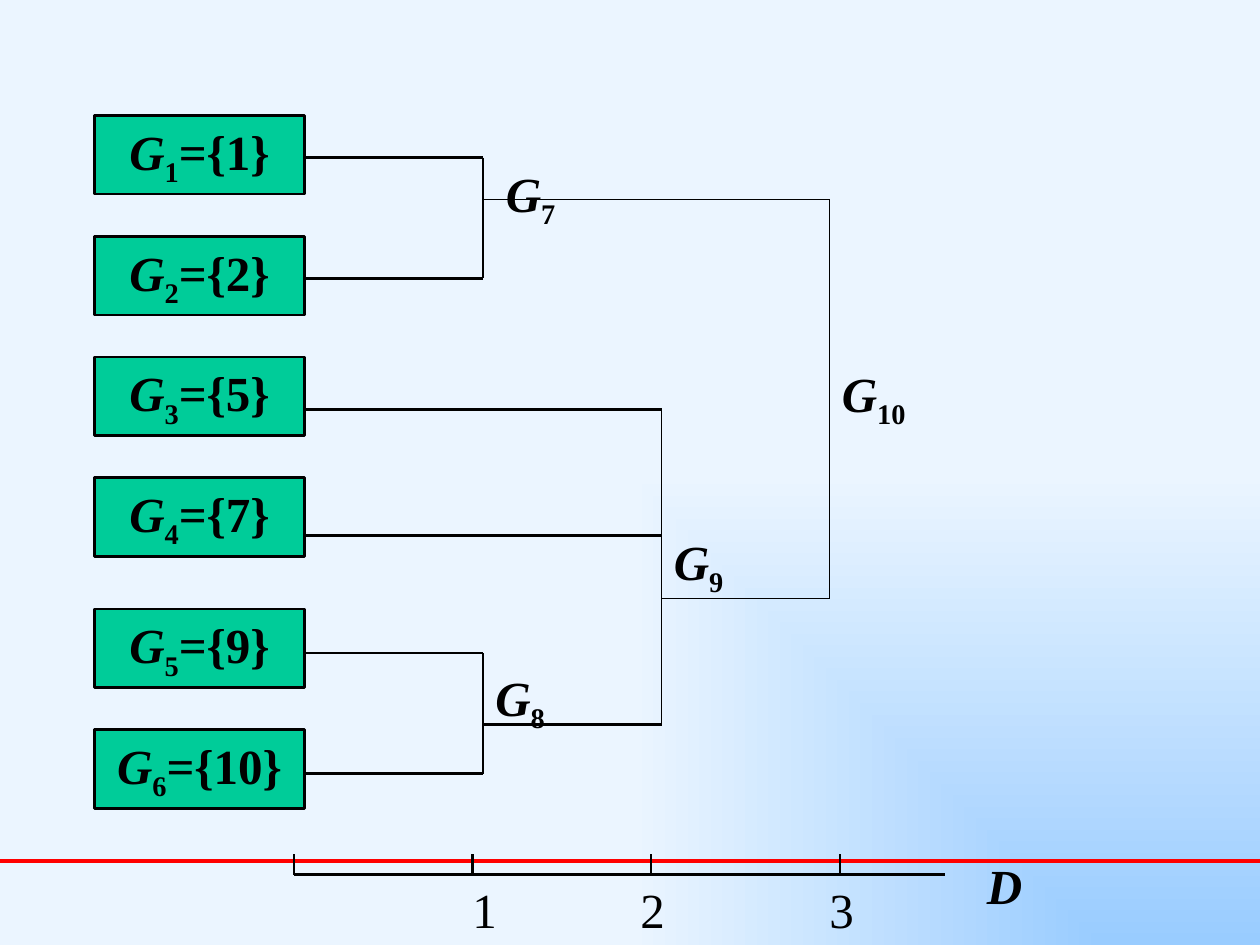
from dataclasses import dataclass

from lxml.etree import SubElement
from pptx import Presentation
from pptx.dml.color import RGBColor
from pptx.enum.shapes import MSO_CONNECTOR, MSO_SHAPE
from pptx.enum.text import MSO_ANCHOR, MSO_AUTO_SIZE, PP_ALIGN
from pptx.oxml.ns import qn
from pptx.util import Inches, Pt


@dataclass(frozen=True)
class Theme:
    font: str = "Times New Roman"
    size: float = 28
    ink: str = "000000"
    box: str = "00CC99"
    rule: str = "FF0000"
    glow: str = "99CCFF"
    sky: str = "EBF5FF"
    thick: float = 1.5
    thin: float = 0.75
    rule_width: float = 1.75


@dataclass(frozen=True)
class Merge:
    """Clusters joined at column x; branches are (start column, row)."""
    number: int
    x: float
    branches: tuple[tuple[float, float], ...]
    label: tuple[float, float, float]  # column, row, width
    branch_width: float
    bar_width: float


THEME = Theme()
COLS, ROWS = 120, 90  # grid cells of 1/12 inch
BOX_X, BOX_W, BOX_H, BOX_TOP, PITCH = 9, 20, 7.5, 11, 11.5
LOWER_GAP = 1  # extra space above the last two boxes
LABEL_H = 6.8
LEAF, NEAR, MID, FAR = BOX_X + BOX_W, 46, 63, 79

MEMBERS = (1, 2, 5, 7, 9, 10)
MERGES = (
    Merge(7, NEAR, ((LEAF, 15), (LEAF, 26.5)), (47, 15, 7.3), THEME.thick, THEME.thick),
    Merge(8, NEAR, ((LEAF, 62.2), (LEAF, 73.7)), (46, 63, 7.3), THEME.thick, THEME.thick),
    Merge(9, MID, ((LEAF, 39), (LEAF, 51), (NEAR, 69)), (63, 50, 7.3), THEME.thick, THEME.thin),
    Merge(10, FAR, ((NEAR, 19), (MID, 57)), (79, 34, 9), THEME.thin, THEME.thin),
)
AXIS_Y, TICK_H, AXIS_END = 83.3, 2, 90
TICKS = (28, 45, 62, 80)
TICK_LABELS = (("1", 43.8), ("2", 59.8), ("3", 77.8))


def cell(n: float) -> int:
    return Inches(n / 12)


def rgb(value: str) -> RGBColor:
    return RGBColor.from_string(value)


def paint_background(slide) -> None:
    """Gradient spreading from the bottom right corner."""
    fill = slide.background.fill
    fill.gradient()
    for stop, colour in zip(fill.gradient_stops, (THEME.glow, THEME.sky)):
        stop.color.rgb = rgb(colour)
    grad = slide.element.find(".//" + qn("a:gradFill"))
    grad.remove(grad.find(qn("a:lin")))
    corner = SubElement(grad, qn("a:path"), path="rect")
    SubElement(corner, qn("a:fillToRect"), l="100000", t="100000")


def add_line(slide, x1: float, y1: float, x2: float, y2: float,
             width: float = THEME.thick, colour: str = THEME.ink) -> None:
    line = slide.shapes.add_connector(
        MSO_CONNECTOR.STRAIGHT, cell(x1), cell(y1), cell(x2), cell(y2))
    line.line.color.rgb = rgb(colour)
    line.line.width = Pt(width)
    SubElement(line.element.spPr, qn("a:effectLst"))


def add_run(p, text: str, bold: bool = True, italic: bool = False, sub: bool = False) -> None:
    r = p.add_run()
    r.text = text
    r.font.name, r.font.size = THEME.font, Pt(THEME.size)
    r.font.bold, r.font.italic = bold, italic
    r.font.color.rgb = rgb(THEME.ink)
    if sub:
        r.font._element.set("baseline", "-25000")


def write_cluster(p, number: int, members: str = "") -> None:
    add_run(p, "G", italic=True)
    add_run(p, str(number), sub=True)
    if members:
        add_run(p, members)


def add_label(slide, x: float, y: float, width: float):
    """Return the empty paragraph of a new unwrapped text box."""
    tf = slide.shapes.add_textbox(cell(x), cell(y), cell(width), cell(LABEL_H)).text_frame
    tf.word_wrap = False
    tf.auto_size = MSO_AUTO_SIZE.SHAPE_TO_FIT_TEXT
    return tf.paragraphs[0]


def add_leaf(slide, index: int, member: int) -> None:
    top = BOX_TOP + PITCH * index + (LOWER_GAP if index >= 4 else 0)
    sp = slide.shapes.add_shape(
        MSO_SHAPE.RECTANGLE, cell(BOX_X), cell(top), cell(BOX_W), cell(BOX_H))
    sp.shadow.inherit = False
    sp.fill.solid()
    sp.fill.fore_color.rgb = rgb(THEME.box)
    sp.line.color.rgb = rgb(THEME.ink)
    sp.line.width = Pt(THEME.thick)
    tf = sp.text_frame
    tf.word_wrap = False
    tf.vertical_anchor = MSO_ANCHOR.MIDDLE
    tf.paragraphs[0].alignment = PP_ALIGN.CENTER
    write_cluster(tf.paragraphs[0], index + 1, f"={{{member}}}")


def add_merge(slide, merge: Merge) -> None:
    for start, row in merge.branches:
        add_line(slide, start, row, merge.x, row, merge.branch_width)
    add_line(slide, merge.x, merge.branches[0][1], merge.x, merge.branches[-1][1],
             merge.bar_width)
    write_cluster(add_label(slide, *merge.label), merge.number)


def add_axis(slide) -> None:
    add_line(slide, TICKS[0], AXIS_Y, AXIS_END, AXIS_Y)
    for x in TICKS:
        add_line(slide, x, AXIS_Y, x, AXIS_Y - TICK_H)
    for text, x in TICK_LABELS:
        add_run(add_label(slide, x, 83.2, 4.8), text, bold=False)
    add_run(add_label(slide, 92.8, 80.9, 5.8), "D", italic=True)


def main() -> None:
    prs = Presentation()
    prs.slide_width, prs.slide_height = cell(COLS), cell(ROWS)
    slide = prs.slides.add_slide(prs.slide_layouts[6])
    paint_background(slide)
    add_line(slide, 0, 82, COLS, 82, THEME.rule_width, THEME.rule)
    for index, member in enumerate(MEMBERS):
        add_leaf(slide, index, member)
    for merge in MERGES:
        add_merge(slide, merge)
    add_axis(slide)
    prs.save("out.pptx")


if __name__ == "__main__":
    main()
